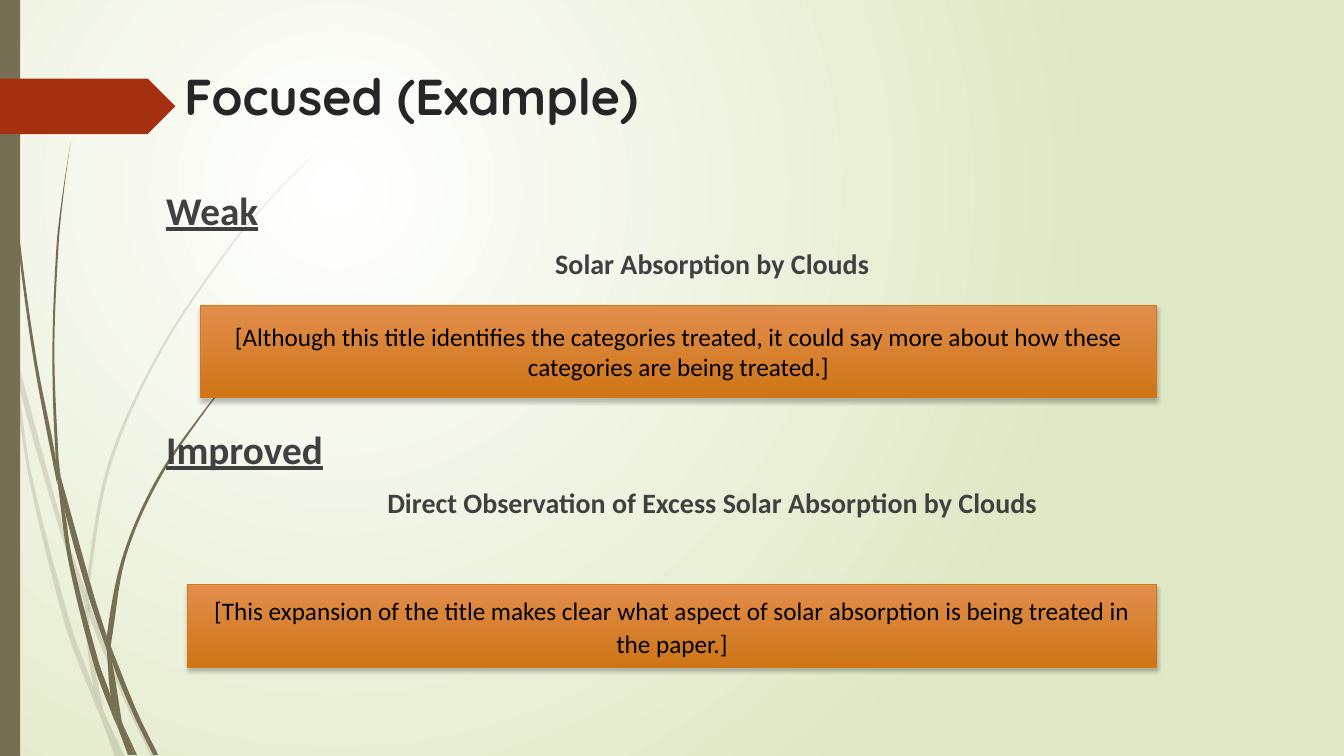
from math import dist

from lxml.etree import SubElement
from pptx import Presentation
from pptx.dml.color import RGBColor
from pptx.enum.shapes import MSO_SHAPE
from pptx.enum.text import MSO_ANCHOR, PP_ALIGN
from pptx.oxml.ns import qn
from pptx.util import Cm, Pt

OLIVE, RED = "766F54", "A53010"
BODY_LINES = {"line_spacing": 1.07, "space_after": Pt(8)}

# Grass blade parts: left and right edge from tip to root, in hundredths of an inch
PALE_BLADES = [
    ([(0, 299), (10, 344), (11, 350)], [(0, 282), (9, 322), (11, 350)]),
    ([(14, 345), (17, 376), (58, 522), (84, 599)], [(14, 345), (62, 520), (85, 586)]),
    ([(88, 596), (88, 610), (123, 694), (150, 751)],
     [(88, 596), (92, 607), (127, 692), (155, 751)]),
    ([(105, 711), (119, 751)], [(105, 711), (124, 751)]),
    ([(11, 350), (28, 470), (65, 621), (92, 693), (101, 714)],
     [(11, 350), (17, 376), (31, 469), (70, 619), (93, 683), (99, 707), (101, 714)]),
    ([(84, 599), (87, 646), (93, 683), (96, 692), (105, 711)],
     [(84, 599), (88, 610), (91, 646), (103, 706), (105, 711)]),
    ([(312, 153), (289, 175), (268, 197), (228, 244), (158, 348), (107, 461),
      (85, 584), (88, 596)],
     [(312, 153), (290, 175), (268, 198), (229, 245), (160, 349), (110, 462),
      (88, 584), (88, 596)]),
    ([(101, 714), (114, 751)], [(101, 714), (119, 751)]),
    ([(85, 586), (84, 599), (88, 608)], [(85, 586), (88, 596), (88, 610)]),
    ([(93, 683), (99, 707), (101, 714), (119, 751)],
     [(93, 683), (96, 692), (105, 711), (119, 751)]),
]
DARK_BLADES = [
    ([(3, 0), (4, 48), (7, 110), (17, 233), (33, 355), (56, 477), (57, 481)],
     [(4, 0), (5, 48), (8, 109), (19, 232), (36, 355), (55, 453), (57, 481)]),
    ([(60, 472), (64, 505), (88, 592), (106, 645)], [(60, 472), (93, 590), (106, 631)]),
    ([(110, 641), (111, 656), (132, 708), (152, 749)],
     [(110, 641), (113, 649), (136, 706), (157, 749)]),
    ([(57, 477), (68, 557), (93, 659), (111, 708), (117, 722)],
     [(57, 477), (64, 505), (72, 556), (98, 657), (110, 691), (117, 722)]),
    ([(70, 141), (62, 193), (56, 245), (52, 349), (55, 449), (60, 472)],
     [(70, 141), (63, 193), (58, 245), (54, 349), (58, 453), (60, 472)]),
    ([(122, 719), (133, 749)], [(122, 719), (136, 749)]),
    ([(55, 449), (57, 477), (64, 505)], [(55, 449), (60, 472), (64, 505)]),
    ([(260, 344), (231, 373), (204, 405), (156, 474), (122, 551), (106, 631), (110, 641)],
     [(261, 344), (231, 374), (205, 406), (158, 476), (125, 552), (111, 633), (110, 641)]),
    ([(117, 722), (127, 749)], [(117, 722), (131, 749)]),
    ([(106, 645), (110, 691), (116, 706), (122, 719)],
     [(106, 645), (111, 656), (121, 716), (122, 719)]),
    ([(106, 631), (106, 645), (111, 656)], [(106, 631), (110, 641), (111, 656)]),
    ([(110, 691), (116, 717), (117, 722), (130, 749)],
     [(110, 691), (116, 706), (122, 719), (133, 749)]),
]


def color(hex_value):
    return RGBColor.from_string(hex_value)


def set_gradient(fill, start, end):
    fill.gradient()
    for stop, hex_value in zip(fill.gradient_stops, (start, end)):
        stop.color.rgb = color(hex_value)


def set_background(slide):
    set_gradient(slide.background.fill, "FFFFFF", "DFE8C4")
    gradient = slide.element.find(".//" + qn("a:gradFill"))
    gradient.remove(gradient.find(qn("a:lin")))
    circle = SubElement(gradient, qn("a:path"), {"path": "circle"})
    SubElement(circle, qn("a:fillToRect"), l="50000", t="50000", r="100000", b="100000")


def shifted(point, start, end, share):
    return tuple(p + (e - s) * share for p, s, e in zip(point, start, end))


def curve_through(points):
    """Control and end points of a smooth Bezier curve, after its first point."""
    padded = [points[0], *points, points[-1]]
    curve = []
    for a, b, c, d in zip(padded, padded[1:], padded[2:], padded[3:]):
        length = dist(b, c) / 3
        curve += [shifted(b, a, c, length / (dist(a, b) + dist(b, c))),
                  shifted(c, d, b, length / (dist(b, c) + dist(c, d))), c]
    return curve


def fill_plain(shape, hex_value):
    shape.shadow.inherit = False
    shape.fill.solid()
    shape.fill.fore_color.rgb = color(hex_value)
    shape.line.fill.background()


def add_blade_part(group, left, right, opacity):
    unit = Cm(0.0254)
    join = [left[-1], right[-1], right[-1]] if left[-1] != right[-1] else []
    outline = [left[0], *curve_through(left), *join, *curve_through(right[::-1])]
    outline = [(x * unit, y * unit) for x, y in outline]
    builder = group.shapes.build_freeform(*outline[0])
    builder.add_line_segments(outline[1:], close=True)
    part = builder.convert_to_shape()
    fill_plain(part, OLIVE)
    if opacity < 100:
        solid_color = part.element.spPr.find(".//" + qn("a:srgbClr"))
        SubElement(solid_color, qn("a:alpha"), val=str(opacity * 1000))
    # Turn each three segments into one Bezier segment
    segments = list(part.element.iter(qn("a:lnTo")))
    for first, second, third in zip(*[iter(segments)] * 3):
        first.tag = qn("a:cubicBezTo")
        for segment in (second, third):
            first.append(segment[0])
            segment.getparent().remove(segment)


def add_blades(slide, parts, opacity=100):
    group = slide.shapes.add_group_shape()
    for left, right in parts:
        add_blade_part(group, left, right, opacity)


def add_block(slide, preset, box, hex_value):
    fill_plain(slide.shapes.add_shape(preset, *map(Cm, box)), hex_value)


def write(paragraph, text, size, hex_value, font="Calibri", bold=False,
          underline=None, **layout):
    paragraph.text = text
    paragraph.font.name = font
    paragraph.font.size = Pt(size)
    paragraph.font.bold = bold
    paragraph.font.underline = underline
    paragraph.font.color.rgb = color(hex_value)
    for name, value in layout.items():
        setattr(paragraph, name, value)


def add_text_frame(slide, box, anchor):
    frame = slide.shapes.add_textbox(*map(Cm, box)).text_frame
    frame.word_wrap = True
    frame.vertical_anchor = anchor
    return frame


def add_example(frame, paragraph, heading, title, gap=0):
    write(paragraph, heading, 28, "404040", bold=True, underline=True,
          space_before=Pt(gap), **BODY_LINES)
    write(frame.add_paragraph(), title, 20, "404040", bold=True,
          alignment=PP_ALIGN.CENTER, **BODY_LINES)


def add_comment(slide, box, text, **layout):
    shape = slide.shapes.add_shape(MSO_SHAPE.RECTANGLE, *map(Cm, box))
    set_gradient(shape.fill, "E18D4C", "CF7516")
    shape.fill.gradient_angle = 270
    shape.line.color.rgb = color("D47817")
    shape.line.width = Pt(0.75)
    shape.shadow.inherit = False
    effects = shape.element.spPr.find(qn("a:effectLst"))
    shadow = SubElement(effects, qn("a:outerShdw"), blurRad=str(Pt(3)),
                        dist=str(Pt(2)), dir="5400000", rotWithShape="0")
    black = SubElement(shadow, qn("a:srgbClr"), val="000000")
    SubElement(black, qn("a:alpha"), val="25000")
    shape.text_frame.word_wrap = True
    shape.text_frame.vertical_anchor = MSO_ANCHOR.MIDDLE
    write(shape.text_frame.paragraphs[0], text, 18, "000000",
          alignment=PP_ALIGN.CENTER, **layout)


def main():
    presentation = Presentation()
    presentation.slide_width, presentation.slide_height = Cm(33.87), Cm(19.05)
    slide = presentation.slides.add_slide(presentation.slide_layouts[6])
    # Background and decoration
    set_background(slide)
    add_blades(slide, PALE_BLADES, opacity=20)
    add_blades(slide, DARK_BLADES)
    add_block(slide, MSO_SHAPE.RECTANGLE, (0, 0, 0.51, 19.05), OLIVE)
    add_block(slide, MSO_SHAPE.PENTAGON, (0, 1.98, 4.42, 1.4), RED)
    # Title
    title = add_text_frame(slide, (4.39, 1.47, 24.77, 1.88), MSO_ANCHOR.MIDDLE)
    write(title.paragraphs[0], "Focused (Example)", 36, "262626",
          font="Quicksand", bold=True)
    # Weak and improved titles
    body = add_text_frame(slide, (3.94, 4.48, 28.02, 11.94), MSO_ANCHOR.TOP)
    add_example(body, body.paragraphs[0], "Weak", "Solar Absorption by Clouds")
    add_example(body, body.add_paragraph(), "Improved",
                "Direct Observation of Excess Solar Absorption by Clouds", gap=93)
    # Comments
    add_comment(slide, (5.05, 7.69, 24.1, 2.33),
                "[Although this title identifies the categories treated, it could "
                "say more about how these categories are being treated.]")
    add_comment(slide, (4.72, 14.73, 24.43, 2.08),
                "[This expansion of the title makes clear what aspect of solar "
                "absorption is being treated in the paper.]", **BODY_LINES)
    presentation.save("out.pptx")


main()
